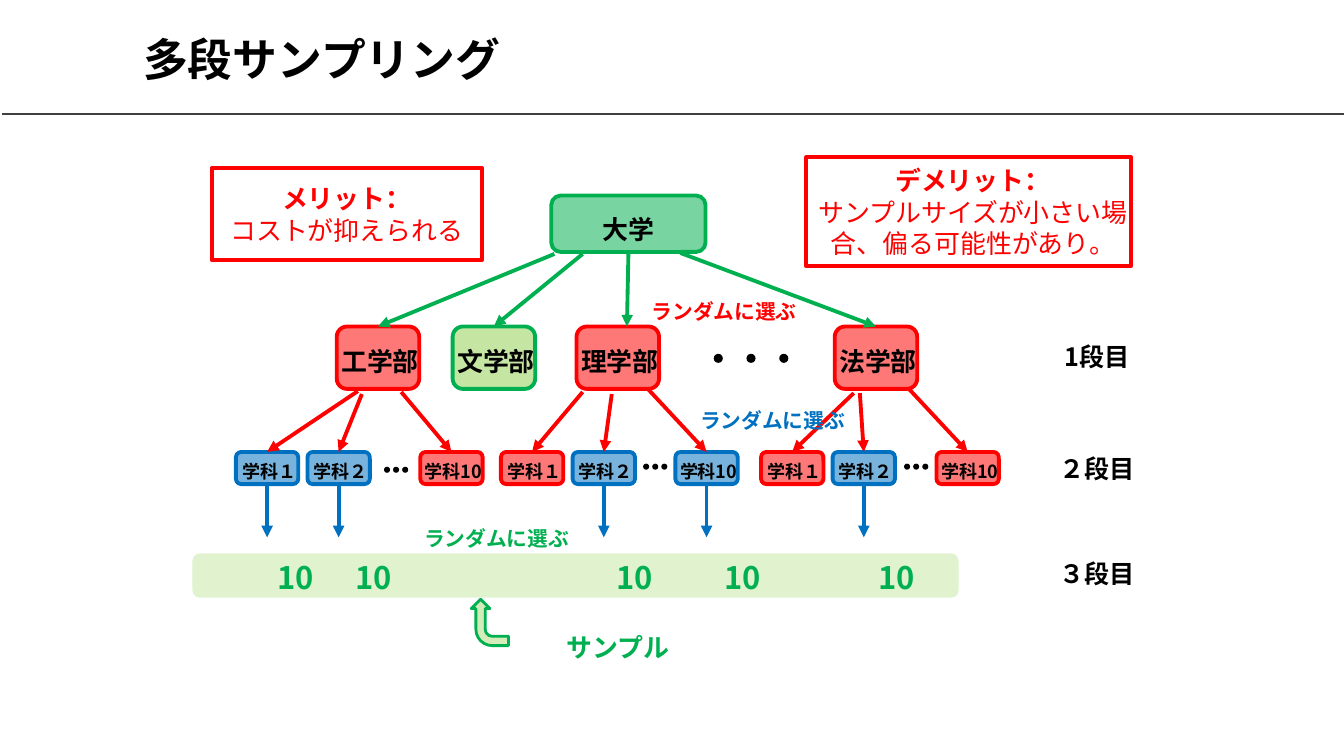
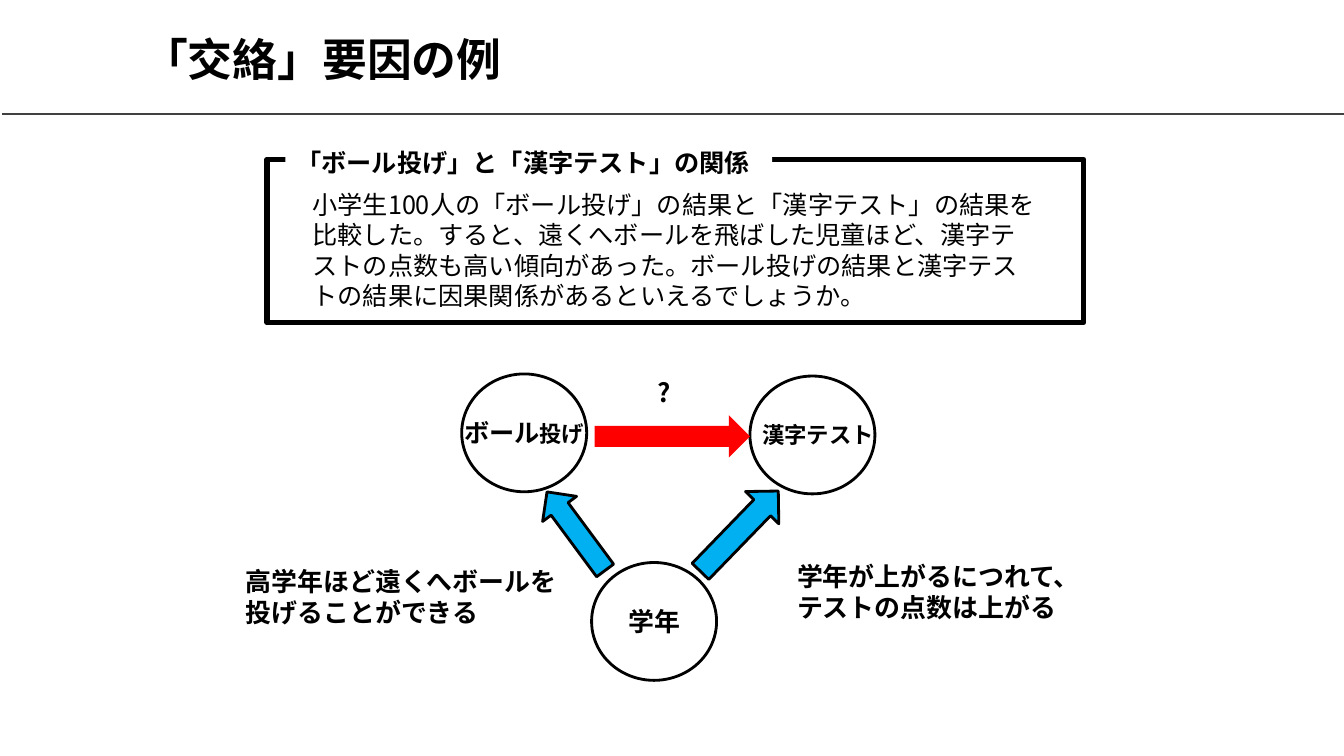
from dataclasses import dataclass
from typing import NamedTuple, Optional

from lxml import etree
from pptx import Presentation
from pptx import util as u
from pptx.dml.color import RGBColor
from pptx.enum import shapes, text
from pptx.oxml.ns import qn

FONT = "Noto Sans CJK JP"
BLACK = RGBColor(0x00, 0x00, 0x00)
WHITE = RGBColor(0xFF, 0xFF, 0xFF)
RULE_GRAY = RGBColor(0x40, 0x40, 0x40)
GREEN = RGBColor(0x00, 0xB0, 0x50)
LIME = RGBColor(0x92, 0xD0, 0x50)
RED = RGBColor(0xFF, 0x00, 0x00)
BLUE = RGBColor(0x00, 0x70, 0xC0)
SKY = RGBColor(0x00, 0xB0, 0xF0)

KIND = shapes.MSO_SHAPE
LEFT, CENTER = text.PP_ALIGN.LEFT, text.PP_ALIGN.CENTER
TOP, BOTTOM = 0, 2
NODE_ALPHA = 53
NODE_LINE = 2.75
RANDOM_PICK = "ランダムに選ぶ"


class Box(NamedTuple):
    left: float
    top: float
    width: float
    height: float

    def lengths(self) -> list:
        return [u.Pt(value) for value in self]


class Point(NamedTuple):
    x: float
    y: float


class Pad(NamedTuple):
    left: float = 0
    top: float = 0
    right: float = 0
    bottom: float = 0


class Style(NamedTuple):
    size: float
    color: RGBColor = BLACK
    bold: bool = True


@dataclass
class Department:
    """A department; sample_x is the middle of its count when it is chosen."""
    label: str
    left: float
    arrow_start: Point
    sample_x: Optional[float] = None


@dataclass
class Faculty:
    label: str
    left: float
    arrow_start: Point
    departments: tuple = ()
    dots: Optional[Point] = None
    fill: RGBColor = RED
    line: RGBColor = RED


class Circle(NamedTuple):
    label: str
    left: float
    top: float
    size: float
    pad: Pad


FACULTIES = (
    Faculty("工学部", 240.5, Point(396, 181.4), (
        Department("学科１", 168.5, Point(255.6, 279.4), 211.3),
        Department("学科２", 219.6, Point(258.5, 281.5), 266.8),
        Department("学科10", 300.2, Point(286.6, 280))), Point(274.3, 333.4)),
    Faculty("文学部", 323.3, Point(416.2, 181.4), fill=LIME, line=GREEN),
    Faculty("理学部", 411.8, Point(448.9, 180), (
        Department("学科１", 357.8, Point(416.2, 280)),
        Department("学科２", 409, Point(437, 281.5), 453.2),
        Department("学科10", 482.4, Point(462.2, 277.2), 530.3)), Point(459.4, 331.2)),
    Faculty("法学部", 596.2, Point(486, 180.7), (
        Department("学科１", 543.6, Point(609.8, 280.8)),
        Department("学科２", 594.7, Point(614.2, 280.8), 640.4),
        Department("学科10", 668.9, Point(648.7, 277.2))), Point(645.8, 331.2)),
)

CIRCLES = (
    Circle("ボール", 329.8, 267.1, 18, Pad()),
    Circle("漢字テスト", 535.7, 268.6, 16, Pad(left=8)),
    Circle("学年", 422.6, 401.8, 18.5, Pad()),
)


def style_run(span, style: Style) -> None:
    font = span.font
    font.size, font.bold = u.Pt(style.size), style.bold
    font.color.rgb = style.color
    font.name = FONT
    etree.SubElement(span._r.get_or_add_rPr(), qn("a:ea"), typeface=FONT)


def write(shape, lines: list, styles: list, align=CENTER, pad: Pad = Pad(),
          wrap: bool = False, anchor=text.MSO_ANCHOR.MIDDLE) -> None:
    """Write one paragraph per line, each with the style of the same place."""
    frame = shape.text_frame
    frame.text = "\n".join(lines)
    frame.word_wrap = wrap
    frame.auto_size = text.MSO_AUTO_SIZE.NONE
    frame.vertical_anchor = anchor
    frame.margin_left, frame.margin_top = u.Pt(pad.left), u.Pt(pad.top)
    frame.margin_right, frame.margin_bottom = u.Pt(pad.right), u.Pt(pad.bottom)
    for para, style in zip(frame.paragraphs, styles):
        para.alignment = align
        for span in para.runs:
            style_run(span, style)


def add_label(page, box: Box, label: str, style: Style, align=CENTER,
              pad: Pad = Pad(7.2, 3.6, 7.2, 3.6)):
    shape = page.shapes.add_textbox(*box.lengths())
    write(shape, [label], [style], align, pad, True, text.MSO_ANCHOR.TOP)
    return shape


def add_figure(page, kind, box: Box, fill: Optional[RGBColor] = None,
               line: Optional[RGBColor] = None, width: float = NODE_LINE,
               alpha: int = 100, rotation: float = 0):
    shape = page.shapes.add_shape(kind, *box.lengths())
    shape.shadow.inherit = False
    shape.rotation = rotation
    if fill is None:
        shape.fill.background()
    else:
        shape.fill.solid()
        shape.fill.fore_color.rgb = fill
        if alpha < 100:
            color = shape._element.spPr.find(qn("a:solidFill"))[0]
            etree.SubElement(color, qn("a:alpha"), val=str(alpha * 1000))
    if line is None:
        shape.line.fill.background()
    else:
        shape.line.color.rgb = line
        shape.line.width = u.Pt(width)
    return shape


def add_line(page, start: Point, end: Point, color: RGBColor,
             width: float = NODE_LINE, arrow: bool = True):
    line = page.shapes.add_connector(
        shapes.MSO_CONNECTOR.STRAIGHT, *(u.Pt(value) for value in (*start, *end)))
    line.line.color.rgb = color
    line.line.width = u.Pt(width)
    if arrow:
        etree.SubElement(line.line._get_or_add_ln(), qn("a:tailEnd"), type="triangle")
    etree.SubElement(line._element.spPr, qn("a:effectLst"))
    return line


def add_dots(page, first: Point, step: float, size: float) -> None:
    for index in range(3):
        add_figure(page, KIND.OVAL, Box(first.x + index * step, first.y, size, size), BLACK)


def add_node(page, box: Box, label: str, size: float, fill: RGBColor,
             line: RGBColor, pad: Pad):
    node = add_figure(page, KIND.ROUNDED_RECTANGLE, box, fill, line, alpha=NODE_ALPHA)
    write(node, [label], [Style(size)], pad=pad)
    return node


def prepare_layout(deck):
    """Place the title and the rule under it on the layout all pages use."""
    layout = deck.slide_layouts.get_by_name("Title Only")
    title = layout.placeholders[0]
    title.left, title.top, title.width, title.height = Box(95, 11.5, 832.3, 60.5).lengths()
    return layout


def add_page(deck, layout, title: str):
    page = deck.slides.add_slide(layout)
    write(page.shapes.title, [title], [Style(32)], LEFT, Pad(7.2, 3.6, 7.2, 3.6), True)
    if len(deck.slides) == 1:
        rule = add_line(page, Point(1.4, 81.4), Point(961.9, 81.4), RULE_GRAY, 1.5, False)
        layout.shapes._spTree.append(rule._element)
    return page


def draw_department(page, department: Department, top: float) -> None:
    color = RED if department.sample_x is None else BLUE
    box = Box(department.left, top, 44.6, 23)
    node = add_node(page, box, department.label, 12.9, color, color, Pad(left=3, top=4))
    middle, bottom = box.left + box.width / 2, box.top + box.height
    branch = add_line(page, department.arrow_start, Point(middle, top), RED)
    branch.end_connect(node, TOP)
    if department.sample_x is not None:
        drop = add_line(page, Point(middle, bottom), Point(middle, bottom + 38), BLUE)
        drop.begin_connect(node, BOTTOM)
        add_label(page, Box(department.sample_x - 44.3, 395.3, 88.6, 33.8), "10",
                  Style(22.1, GREEN))


def draw_faculty(page, faculty: Faculty, university) -> None:
    box = Box(faculty.left, 233.2, 59, 44.6)
    node = add_node(page, box, faculty.label, 18.5, faculty.fill, faculty.line,
                    Pad(left=3, top=5))
    branch = add_line(page, faculty.arrow_start, Point(box.left + box.width / 2, box.top), GREEN)
    if faculty.label == "理学部":
        branch.end_x = u.Pt(447.8)
        branch.begin_connect(university, BOTTOM)
    else:
        branch.end_connect(node, TOP)
    for department in faculty.departments:
        draw_department(page, department, 322.8)
    if faculty.dots:
        add_dots(page, faculty.dots, 6.5, 4.3)


def draw_sampling(page) -> None:
    add_figure(page, KIND.ROUNDED_RECTANGLE, Box(137.5, 395.3, 547.2, 31.7), LIME, alpha=27)
    university = add_node(page, Box(393.8, 139.7, 110.2, 40.3), "大学", 18.5, GREEN, GREEN,
                          Pad(top=8))
    for faculty in FACULTIES:
        draw_faculty(page, faculty, university)
    add_dots(page, Point(509.8, 252.7), 23.4, 6.5)

    for level, top in (("1段目", 240.5), ("２段目", 320.4), ("３段目", 395.3)):
        add_label(page, Box(708.5, top, 150.5, 28.8), level, Style(18))
    for left, top, color in ((442.1, 210.2, RED), (476.6, 288, BLUE), (279.4, 372.2, GREEN)):
        add_label(page, Box(left, top, 150.5, 25.2), RANDOM_PICK, Style(14.8, color))

    add_figure(page, KIND.BENT_ARROW, Box(333.4, 431.3, 33.1, 26.6), LIME, GREEN, 2, 40, 270)
    add_label(page, Box(368.6, 447.8, 146.2, 29.5), "サンプル", Style(18.5, GREEN))

    remarks = (
        (Box(151.2, 120.2, 193, 65.5), ["メリット：", "コストが抑えられる"], Pad()),
        (Box(576, 112.3, 231.8, 77.8),
         ["デメリット：", "サンプルサイズが小さい場合、偏る可能性があり。"], Pad(left=6)),
    )
    for box, lines, pad in remarks:
        frame = add_figure(page, KIND.RECTANGLE, box, line=RED, width=3)
        write(frame, lines, [Style(18.5, RED), Style(18.5, RED, False)], pad=pad, wrap=True)


def draw_confounding(page) -> None:
    add_figure(page, KIND.RECTANGLE, Box(190.8, 113.8, 583.2, 116.6), line=BLACK, width=4)
    heading = add_figure(page, KIND.RECTANGLE, Box(203.8, 101.5, 347.8, 28.8), WHITE)
    write(heading, ["「ボール投げ」と「漢字テスト」の関係"], [Style(18)], pad=Pad(right=8))
    add_label(page, Box(180, 131.8, 570.2, 94.3),
              "小学生100人の「ボール投げ」の結果と「漢字テスト」の結果を比較した。"
              "すると、遠くへボールを飛ばした児童ほど、漢字テストの点数も高い傾向があった。"
              "ボール投げの結果と漢字テストの結果に因果関係があるといえるでしょうか。",
              Style(18, bold=False), LEFT, Pad(43.2, 3.6, 7.2, 3.6))

    for circle in CIRCLES:
        oval = add_figure(page, KIND.OVAL, Box(circle.left, circle.top, 89.3, 84.2),
                          line=BLACK, width=2)
        write(oval, [circle.label], [Style(circle.size)], pad=circle.pad)
        if circle.label == "ボール":
            span = oval.text_frame.paragraphs[0].add_run()
            span.text = "投げ"
            style_run(span, Style(16))

    add_figure(page, KIND.RIGHT_ARROW, Box(424.8, 296.6, 110.9, 30.2), RED)
    add_label(page, Box(461.5, 265.7, 25.2, 29.5), "?", Style(18.5))
    for box, rotation in ((Box(488.2, 362.9, 79.9, 33.1), 314.1),
                          (Box(376.6, 364.3, 69.8, 30.2), 233.5)):
        add_figure(page, KIND.RIGHT_ARROW, box, SKY, BLACK, 2, rotation=rotation)
    for box, reason in (
            (Box(168.5, 400.3, 237.6, 51.8), "高学年ほど遠くへボールを投げることができる"),
            (Box(562.3, 396.7, 229, 51.8), "学年が上がるにつれて、テストの点数は上がる")):
        add_label(page, box, reason, Style(18.5), LEFT)


def main() -> None:
    deck = Presentation()
    deck.slide_width, deck.slide_height = u.Pt(960), u.Pt(540)
    layout = prepare_layout(deck)
    draw_sampling(add_page(deck, layout, "多段サンプリング"))
    draw_confounding(add_page(deck, layout, "「交絡」要因の例"))
    deck.save("out.pptx")


if __name__ == "__main__":
    main()
